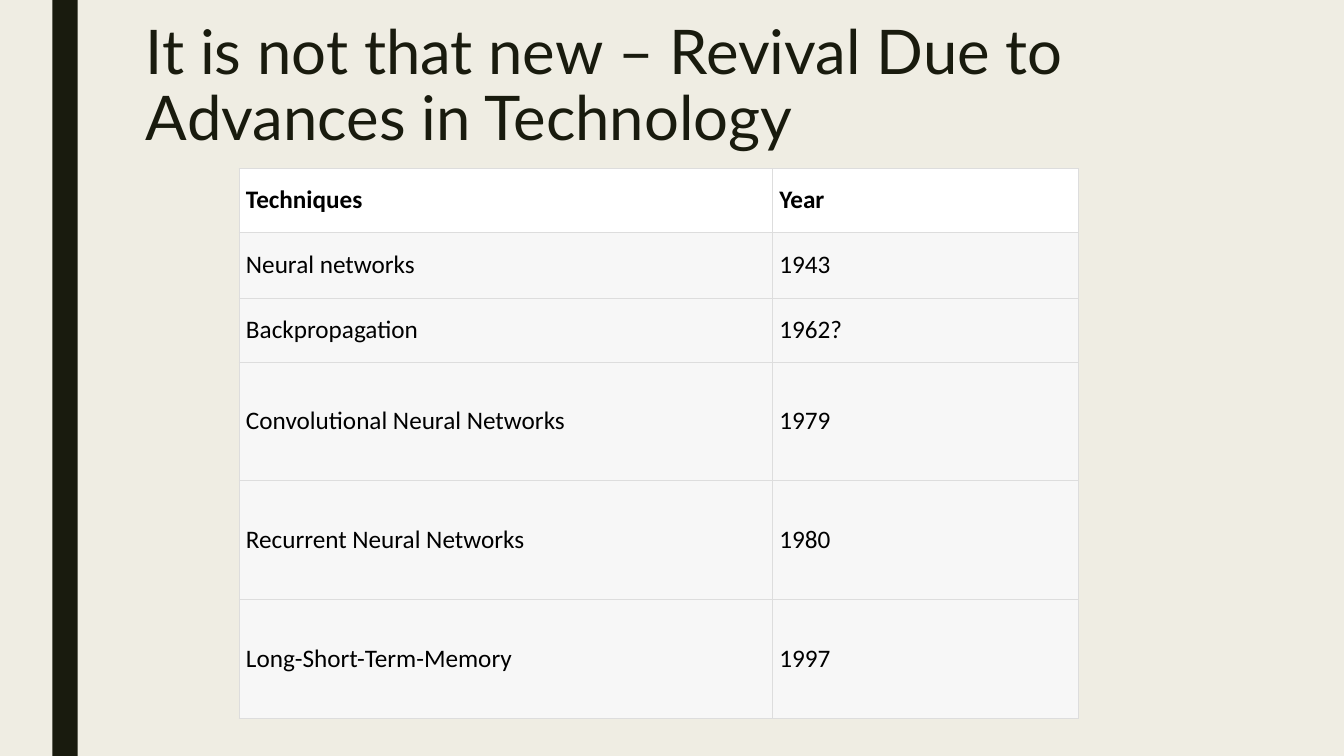
import pptx
import pptx.dml.color
import pptx.enum.shapes
import pptx.enum.text
import pptx.oxml
import pptx.oxml.ns
import pptx.util
from pptx.util import Inches

DARK = "191B0E"
BORDER = "DDDDDD"
ROWS = [
    ("Techniques", "Year"),
    ("Neural networks\u00a0".strip(), "1943"),
    ("Backpropagation", "1962?"),
    ("Convolutional Neural Networks", "1979"),
    ("Recurrent Neural Networks", "1980"),
    ("Long-Short-Term-Memory", "1997"),
]
COLUMN_WIDTHS = [5.29, 3.04]
ROW_HEIGHTS = [0.63, 0.66, 0.63, 1.18, 1.18, 1.18]


def paint(fill, color):
    """Make a fill, or a font's fill, solid in the given hex colour."""
    fill.solid()
    fill.fore_color.rgb = pptx.dml.color.RGBColor.from_string(color)


def write(paragraph, text, color, font_format):
    paragraph.text = text
    font = paragraph.runs[0].font
    for name, value in font_format.items():
        setattr(font, name, value)
    paint(font.fill, color)


presentation = pptx.Presentation()
presentation.slide_width = Inches(13.33)
presentation.slide_height = Inches(7.5)
slide = presentation.slides.add_slide(presentation.slide_layouts[6])
paint(slide.background.fill, "EFEDE3")

# Side bar
bar = slide.shapes.add_shape(
    pptx.enum.shapes.MSO_SHAPE.RECTANGLE,
    Inches(0.52), Inches(0), Inches(0.25), Inches(7.5))
bar.shadow.inherit = False
paint(bar.fill, DARK)
bar.line.fill.background()

# Title
title = slide.shapes.add_textbox(
    Inches(1.35), Inches(0.17), Inches(10.5), Inches(1.62))
title.text_frame.word_wrap = True
title_paragraph = title.text_frame.paragraphs[0]
title_paragraph.line_spacing = 0.89
write(title_paragraph,
      "It is not that new – Revival Due to Advances in Technology",
      DARK, {"name": "Lato", "size": pptx.util.Pt(44)})

# Table of techniques
table = slide.shapes.add_table(
    len(ROWS), len(COLUMN_WIDTHS), Inches(2.37), Inches(1.67),
    Inches(sum(COLUMN_WIDTHS)), Inches(sum(ROW_HEIGHTS))).table
for column, width in zip(table.columns, COLUMN_WIDTHS):
    column.width = Inches(width)
for row, height in zip(table.rows, ROW_HEIGHTS):
    row.height = Inches(height)

cell_format = {
    "vertical_anchor": pptx.enum.text.MSO_ANCHOR.MIDDLE,
    "margin_left": Inches(0.07),
    "margin_right": Inches(0.07),
    "margin_top": Inches(0.07),
    "margin_bottom": Inches(0.07),
}
for row_index, row_texts in enumerate(ROWS):
    is_header = row_index == 0
    for column_index, text in enumerate(row_texts):
        cell = table.cell(row_index, column_index)
        for name, value in cell_format.items():
            setattr(cell, name, value)
        write(cell.text_frame.paragraphs[0], text, "000000",
              {"name": "Calibri", "size": pptx.util.Pt(18), "bold": is_header})
        # Borders must come before the fill in the cell properties
        properties = cell._tc.get_or_add_tcPr()
        for side in ("lnL", "lnR", "lnT", "lnB"):
            properties.append(pptx.oxml.parse_xml(
                f'<a:{side} {pptx.oxml.ns.nsdecls("a")} w="{pptx.util.Pt(0.5)}">'
                f'<a:solidFill><a:srgbClr val="{BORDER}"/></a:solidFill>'
                f'</a:{side}>'))
        paint(cell.fill, "FFFFFF" if is_header else "F7F7F7")

presentation.save("out.pptx")
